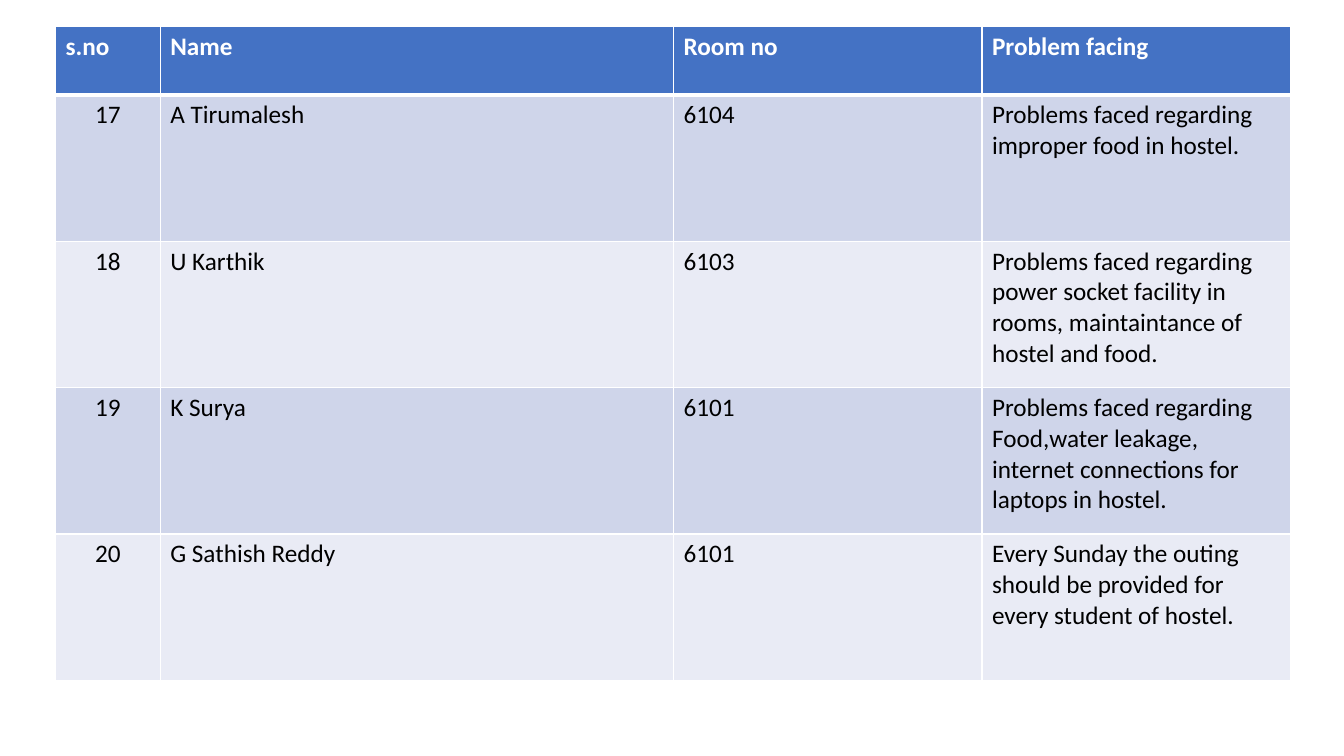
from lxml.etree import SubElement
from pptx import Presentation
from pptx.dml.color import RGBColor
from pptx.enum.text import PP_ALIGN
from pptx.oxml.ns import qn
from pptx.util import Inches, Pt

COLORS = {
    "header": "4472C4",
    "odd_row": "CFD5EA",
    "even_row": "E9EBF5",
    "border": "FFFFFF",
    "header_text": "FFFFFF",
    "body_text": "000000",
}
FONT = "Calibri"
COLUMN_WIDTHS = [1.04, 5.09, 3.06, 3.06]
HEADER_HEIGHT = 0.68

HEADINGS = ["s.no", "Name", "Room no", "Problem facing"]
COMPLAINTS = [
    ["17", "A Tirumalesh", "6104",
     "Problems faced regarding improper food in hostel."],
    ["18", "U Karthik", "6103",
     "Problems faced regarding power socket facility in rooms, "
     "maintaintance of hostel and food."],
    ["19", "K Surya", "6101",
     "Problems faced regarding\n"
     "Food,water leakage, internet connections for laptops in hostel."],
    ["20", "G Sathish Reddy", "6101",
     "Every Sunday the outing should be provided for every student of hostel."],
]


def set_borders(cell, widths):
    """Draw the cell's edges; widths maps an edge letter to points."""
    properties = cell._tc.get_or_add_tcPr()
    for index, (edge, width) in enumerate(widths.items()):
        line = SubElement(properties, qn(f"a:ln{edge}"), w=str(Pt(width)))
        fill = SubElement(line, qn("a:solidFill"))
        SubElement(fill, qn("a:srgbClr"), val=COLORS["border"])
        properties.remove(line)
        properties.insert(index, line)  # edges come before the cell fill


def fill_cell(cell, text, fill, color, bold, align):
    cell.fill.solid()
    cell.fill.fore_color.rgb = RGBColor.from_string(COLORS[fill])
    frame = cell.text_frame
    for index, line in enumerate(text.split("\n")):
        paragraph = frame.add_paragraph() if index else frame.paragraphs[0]
        paragraph.alignment = align
        run = paragraph.add_run()
        run.text = line
        run.font.name = FONT
        run.font.size = Pt(18)
        run.font.bold = bold
        run.font.color.rgb = RGBColor.from_string(COLORS[color])


def add_complaints(slide, left, top, width, height):
    rows = [HEADINGS] + COMPLAINTS
    complaints = slide.shapes.add_table(
        len(rows), len(HEADINGS),
        Inches(left), Inches(top), Inches(width), Inches(height)).table

    # Column widths, and equal body rows below the header
    for column, column_width in zip(complaints.columns, COLUMN_WIDTHS):
        column.width = Inches(column_width)
    body_height = (height - HEADER_HEIGHT) / len(COMPLAINTS)
    for index, row in enumerate(complaints.rows):
        row.height = Inches(body_height if index else HEADER_HEIGHT)

    # Header and banded body
    for r, texts in enumerate(rows):
        is_header = r == 0
        fill = "header" if is_header else "odd_row" if r % 2 else "even_row"
        color = "header_text" if is_header else "body_text"
        for c, text in enumerate(texts):
            centred = c == 0 and not is_header
            cell = complaints.cell(r, c)
            fill_cell(cell, text, fill, color, is_header,
                      PP_ALIGN.CENTER if centred else PP_ALIGN.LEFT)
            set_borders(cell, {"L": 1, "R": 1, "T": 3 if r == 1 else 1,
                               "B": 3 if is_header else 1})


def main():
    deck = Presentation()
    deck.slide_width, deck.slide_height = Inches(13.33), Inches(7.5)
    slide = deck.slides.add_slide(deck.slide_layouts[6])
    add_complaints(slide, 0.55, 0.26, sum(COLUMN_WIDTHS), 6.49)
    deck.save("out.pptx")


if __name__ == "__main__":
    main()
